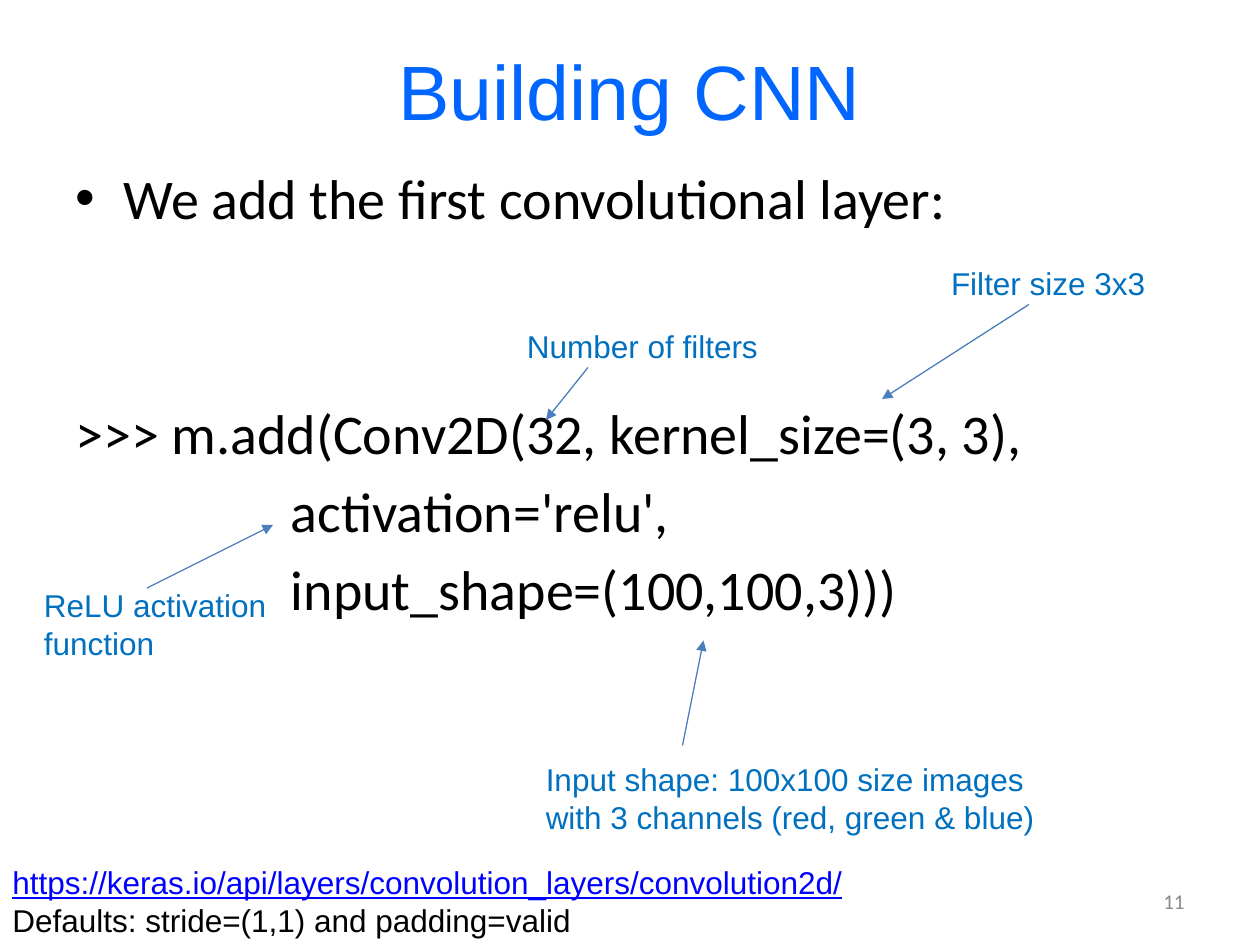
"""Build the slide on a first convolutional layer, laid out on a grid of 120 by 90 cells."""
from dataclasses import dataclass

from lxml import etree
from pptx import Presentation
from pptx import util as u
from pptx.dml.color import RGBColor
from pptx.enum import shapes, text
from pptx.oxml.ns import qn

CELL = u.Inches(1) / 12
COLS, ROWS = 120, 90
BLACK, BLUE, LINK = "000000", "0070C0", "0000FF"


@dataclass
class Run:
    words: str
    size: float = 18
    font: str = "Arial"
    color: str = BLUE
    under: bool = False


@dataclass
class Para:
    run: Run
    left: float = 0
    hang: float = 0
    before: float = 0
    bullet: str = ""
    align: text.PP_ALIGN = text.PP_ALIGN.LEFT


@dataclass
class Box:
    col: float
    row: float
    wide: float
    high: float
    paras: list[Para]
    wrap: bool = False
    anchor: text.MSO_ANCHOR = text.MSO_ANCHOR.TOP


@dataclass
class Arrow:
    col: float
    row: float
    to_col: float
    to_row: float


def grid(*cells: float) -> list[u.Emu]:
    return [u.Emu(round(n * CELL)) for n in cells]


def paint(code: str) -> RGBColor:
    return RGBColor.from_string(code)


def write(para, item: Para) -> None:
    para.alignment = item.align
    para.space_before = u.Pt(item.before)
    props = para._p.get_or_add_pPr()
    props.set("marL", str(u.Inches(item.left)))
    props.set("indent", str(-u.Inches(item.hang)))
    if item.bullet:
        etree.SubElement(props, qn("a:buFont")).set("typeface", "Arial")
        etree.SubElement(props, qn("a:buChar")).set("char", item.bullet)
    else:
        etree.SubElement(props, qn("a:buNone"))
    run = para.add_run()
    run.text = item.run.words
    font = run.font
    font.size, font.name = u.Pt(item.run.size), item.run.font
    font.underline = item.run.under
    font.color.rgb = paint(item.run.color)


def fill(shape, box: Box) -> None:
    shape.left, shape.top, shape.width, shape.height = grid(
        box.col, box.row, box.wide, box.high)
    frame = shape.text_frame
    frame.word_wrap = box.wrap
    frame.vertical_anchor = box.anchor
    for n, item in enumerate(box.paras):
        write(frame.add_paragraph() if n else frame.paragraphs[0], item)


def point(slide, arrow: Arrow) -> None:
    line = slide.shapes.add_connector(
        shapes.MSO_CONNECTOR.STRAIGHT,
        *grid(arrow.col, arrow.row, arrow.to_col, arrow.to_row))
    line.line.color.rgb = paint("4B7EBC")
    line.line.width = u.Pt(0.75)
    etree.SubElement(line.line._get_or_add_ln(), qn("a:tailEnd")).set("type", "triangle")
    etree.SubElement(line._element.spPr, qn("a:effectLst"))


def note(col: float, row: float, wide: float, high: float, *lines: str) -> Box:
    return Box(col, row, wide, high, [Para(Run(words)) for words in lines])


def code(words: str, left: float = 0, before: float = 6) -> Para:
    return Para(Run(words, 32, "Calibri", BLACK), left, before=before)


MID = text.MSO_ANCHOR.MIDDLE
TITLE = Box(6, 1, 108, 15, [Para(Run("Building CNN", 44, color="0066FF"),
                               align=text.PP_ALIGN.CENTER)], True, MID)
BODY = Box(6, 15, 108, 68, [
    Para(Run("We add the first convolutional layer:", 32, "Calibri", BLACK),
         0.38, 0.38, 6, "•"),
    code(">>> m.add(Conv2D(32, kernel_size=(3, 3),", before=96),
    code("activation='relu',", 1.71),
    code("input_shape=(100,100,3)))", 1.71),
], True)
PAGE = Box(86, 83.4, 28, 4.8, [Para(Run("11", 12, "Calibri", "898989"),
                                  align=text.PP_ALIGN.RIGHT)], True, MID)
NOTES = [
    note(49, 30.6, 24.6, 4.8, "Number of filters"),
    note(89.4, 24.6, 21.1, 4.8, "Filter size 3x3"),
    note(3, 55.2, 24.6, 8.5, "ReLU activation", "function"),
    note(50.8, 71.8, 49.2, 8.5, "Input shape: 100x100 size images",
         "with 3 channels (red, green & blue)"),
]
SOURCE = Box(0, 81.6, 82.2, 8.5, [
    Para(Run("https://keras.io/api/layers/convolution_layers/convolution2d/",
             color=LINK, under=True)),
    Para(Run("Defaults: stride=(1,1) and padding=valid", color=BLACK)),
])
ARROWS = [Arrow(56, 35, 52, 40), Arrow(98, 29, 84, 38),
          Arrow(14, 56, 26, 50), Arrow(65, 71, 67, 61)]


def main() -> None:
    deck = Presentation()
    deck.slide_width, deck.slide_height = grid(COLS, ROWS)
    slide = deck.slides.add_slide(deck.slide_layouts[5])
    fill(slide.shapes.title, TITLE)
    for box in [BODY, PAGE, *NOTES, SOURCE]:
        fill(slide.shapes.add_textbox(0, 0, 0, 0), box)
    for arrow in ARROWS:
        point(slide, arrow)
    deck.save("out.pptx")


if __name__ == "__main__":
    main()
